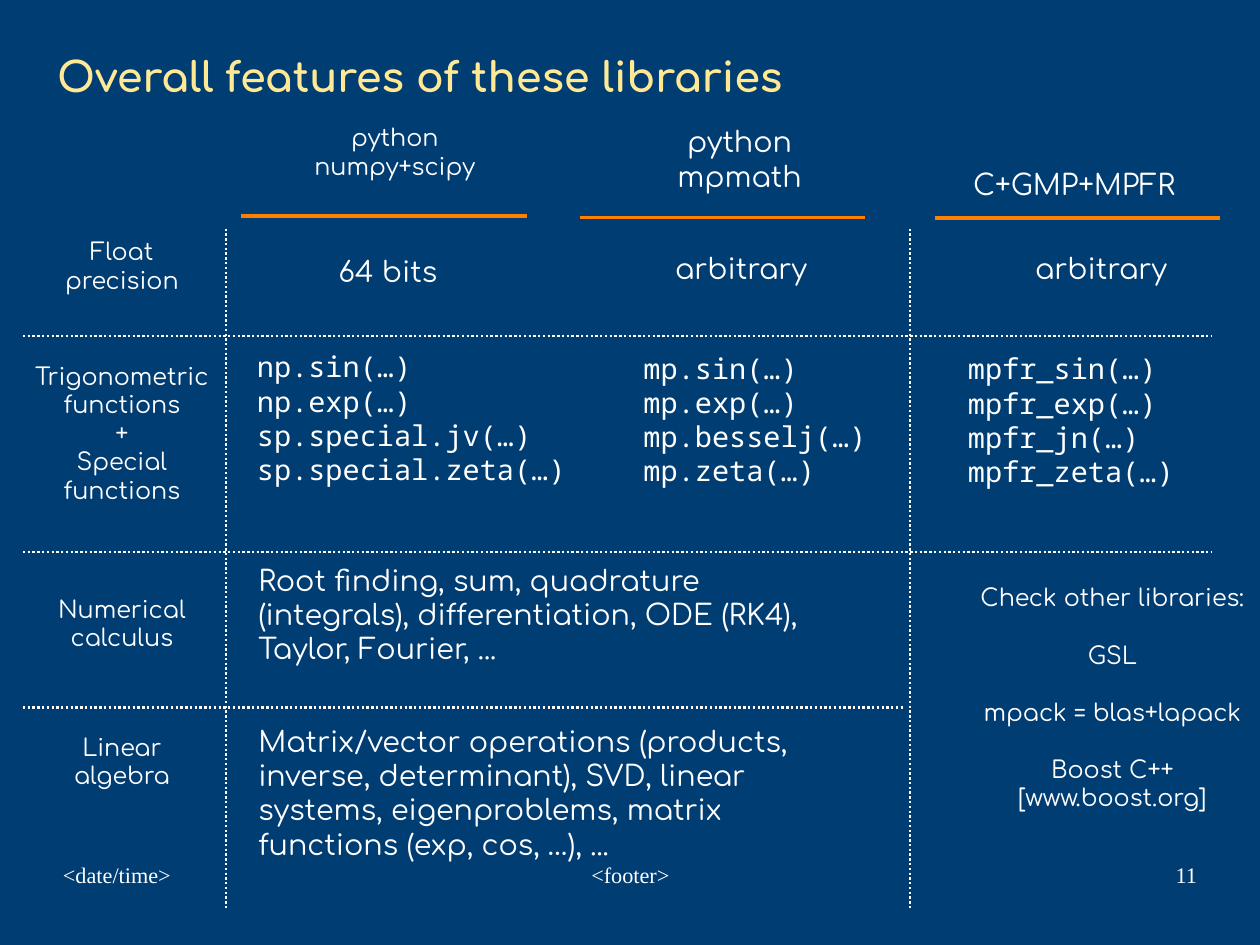
from dataclasses import dataclass
from typing import NamedTuple

from lxml import etree
from pptx import Presentation
from pptx.dml.color import RGBColor
from pptx.enum.dml import MSO_LINE
from pptx.enum.shapes import MSO_CONNECTOR
from pptx.enum.text import MSO_ANCHOR, PP_ALIGN
from pptx.oxml.ns import qn
from pptx.util import Cm, Pt

LEFT, CENTER, RIGHT = PP_ALIGN.LEFT, PP_ALIGN.CENTER, PP_ALIGN.RIGHT
TOP = MSO_ANCHOR.TOP
DOTTED = MSO_LINE.ROUND_DOT
STRAIGHT = MSO_CONNECTOR.STRAIGHT


@dataclass(frozen=True)
class Theme:
    background: RGBColor = RGBColor(0x00, 0x3D, 0x73)
    heading: RGBColor = RGBColor(0xFF, 0xE9, 0x94)
    ink: RGBColor = RGBColor(0xFF, 0xFF, 0xFF)
    accent: RGBColor = RGBColor(0xFF, 0x80, 0x00)
    body_font: str = "Comfortaa"
    code_font: str = "Noto Sans Mono"
    footer_font: str = "Times New Roman"
    title_size: float = 26
    body_size: float = 18
    label_size: float = 15
    footer_size: float = 14
    divider_width: float = 1.5
    rule_width: float = 2.3


class Box(NamedTuple):
    left: float
    top: float
    width: float
    height: float

    def inner(self, dx, dy, width, height):
        return Box(self.left + dx, self.top + dy, width, height)


THEME = Theme()


def add_text(slide, box, lines, *, size=THEME.body_size, font=THEME.body_font,
             color=THEME.ink, bold=False, align=LEFT, inset=(0.25, 0.13), gaps=()):
    frame = slide.shapes.add_textbox(*map(Cm, box)).text_frame
    frame.word_wrap = True
    frame.vertical_anchor = TOP
    frame.margin_left = frame.margin_right = Cm(inset[0])
    frame.margin_top = frame.margin_bottom = Cm(inset[1])
    for index, line in enumerate(lines):
        paragraph = frame.paragraphs[0] if index == 0 else frame.add_paragraph()
        paragraph.alignment = align
        if index in gaps:
            paragraph.space_before = Pt(18)
        run = paragraph.add_run()
        run.text = line
        run.font.size = Pt(size)
        run.font.name = font
        run.font.bold = bold
        run.font.color.rgb = color


def add_line(slide, start, end, color, width, dash=None):
    line = slide.shapes.add_connector(STRAIGHT, *map(Cm, (*start, *end)))
    line.line.color.rgb = color
    line.line.width = Pt(width)
    if dash is not None:
        line.line.dash_style = dash
    etree.SubElement(line._element.spPr, qn("a:effectLst"))


def add_footer(slide, box):
    fields = (("<date/time>", 0, 6.53, LEFT),
              ("<footer>", 8.18, 8.86, CENTER),
              ("11", box.width - 6.53, 6.53, RIGHT))
    for text, dx, width, align in fields:
        add_text(slide, box.inner(dx, 0, width, box.height), [text], align=align,
                 size=THEME.footer_size, font=THEME.footer_font, inset=(0, 0))


def add_dividers(slide, box):
    right = box.left + box.width
    separator = box.left + 19.71
    for dy, end in ((2.39, right), (7.19, right), (10.64, separator - 0.15)):
        y = box.top + dy
        add_line(slide, (box.left, y), (end, y), THEME.ink, THEME.divider_width, DOTTED)
    for x in (box.left + 4.52, separator):
        add_line(slide, (x, box.top), (x, box.top + box.height),
                 THEME.ink, THEME.divider_width, DOTTED)


def add_row_labels(slide, box):
    labels = (
        (["Float precision"], 0.05, 3.05),
        (["Trigonometric functions", "+", "Special functions"], 2.82, 4.57),
        (["Numerical calculus"], 8.0, 3.56),
        (["Linear algebra"], 11.07, 2.82),
    )
    for lines, dy, width in labels:
        centered = box.inner((box.width - width) / 2, dy, width, 1.95)
        add_text(slide, centered, lines, size=THEME.label_size, align=CENTER)


def add_library(slide, box, name, name_at, name_size, precision, precision_at, calls, calls_at):
    dx, dy, width = name_at
    add_text(slide, box.inner(dx, dy, width, 2.2), name, size=name_size, align=CENTER)
    rule_y = box.top + 2.2
    add_line(slide, (box.left, rule_y), (box.left + box.width, rule_y),
             THEME.accent, THEME.rule_width)
    dx, dy, width = precision_at
    add_text(slide, box.inner(dx, dy, width, 1.27), [precision], align=CENTER)
    dx, width = calls_at
    add_text(slide, box.inner(dx, 5.03, width, 4.27), calls, font=THEME.code_font)


def add_shared_features(slide, box):
    add_text(slide, box.inner(0, 0, 13.18, 3.18), [
        "Root finding, sum, quadrature (integrals), differentiation, "
        "ODE (RK4), Taylor, Fourier, ..."])
    add_text(slide, box.inner(0, 3.58, box.width, 4.11), [
        "Matrix/vector operations (products, inverse, determinant), SVD, linear "
        "systems, eigenproblems, matrix functions (exp, cos, …), ..."])


def add_other_libraries(slide, box):
    lines = ["Check other libraries:", "GSL", "mpack = blas+lapack",
             "Boost C++", "[www.boost.org]"]
    add_text(slide, box, lines, size=THEME.label_size, align=CENTER, gaps=(1, 2, 3))


def add_features_slide(deck):
    slide = deck.slides.add_slide(deck.slide_layouts[6])
    slide.background.fill.solid()
    slide.background.fill.fore_color.rgb = THEME.background
    add_footer(slide, Box(1.4, 19.13, 25.2, 1.45))
    add_text(slide, Box(1.02, 1.02, 25.65, 1.7), ["Overall features of these libraries"],
             size=THEME.title_size, color=THEME.heading, bold=True)
    add_dividers(slide, Box(0.51, 5.08, 26.4, 15.09))
    add_row_labels(slide, Box(0.46, 5.08, 4.5, 15.09))
    add_library(slide, Box(5.36, 2.6, 6.35, 9.3),
                ["python", "numpy+scipy"], (0.71, 0, 5.41), THEME.label_size,
                "64 bits", (1.47, 2.92, 3.58),
                ["np.sin(…)", "np.exp(…)", "sp.special.jv(…)", "sp.special.zeta(…)"],
                (0.1, 8.5))
    add_library(slide, Box(12.88, 2.63, 6.35, 9.3),
                ["python", "mpmath"], (1.37, 0, 4.37), THEME.body_size,
                "arbitrary", (1.29, 2.81, 4.6),
                ["mp.sin(…)", "mp.exp(…)", "mp.besselj(…)", "mp.zeta(…)"],
                (1.17, 6.1))
    add_library(slide, Box(20.77, 2.65, 6.35, 9.3),
                ["C+GMP+MPFR"], (0.1, 0.93, 6.0), THEME.body_size,
                "arbitrary", (1.4, 2.79, 4.6),
                ["mpfr_sin(…)", "mpfr_exp(…)", "mpfr_jn(…)", "mpfr_zeta(…)"],
                (0.49, 6.7))
    add_shared_features(slide, Box(5.49, 12.37, 13.82, 7.7))
    add_other_libraries(slide, Box(21.47, 12.83, 6.5, 6.63))


def main():
    deck = Presentation()
    deck.slide_width, deck.slide_height = Cm(28), Cm(21)
    add_features_slide(deck)
    deck.save("out.pptx")


if __name__ == "__main__":
    main()
